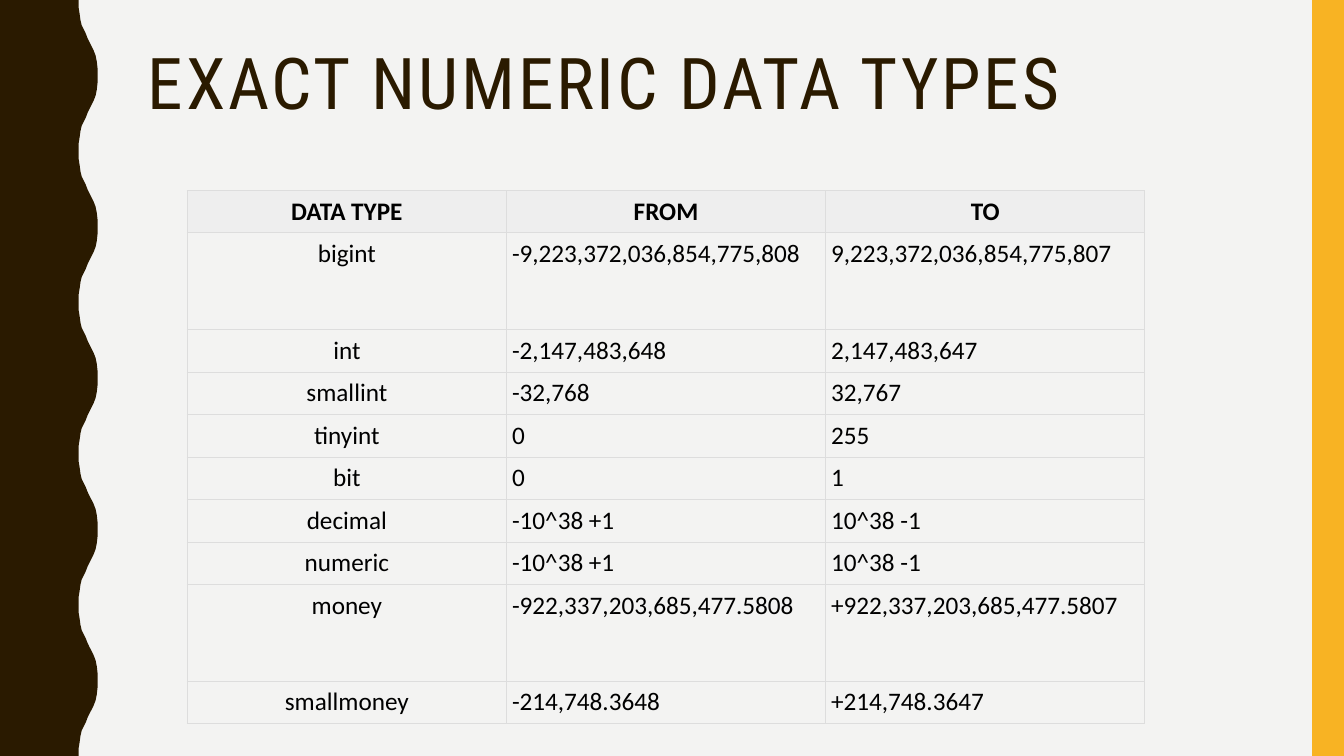
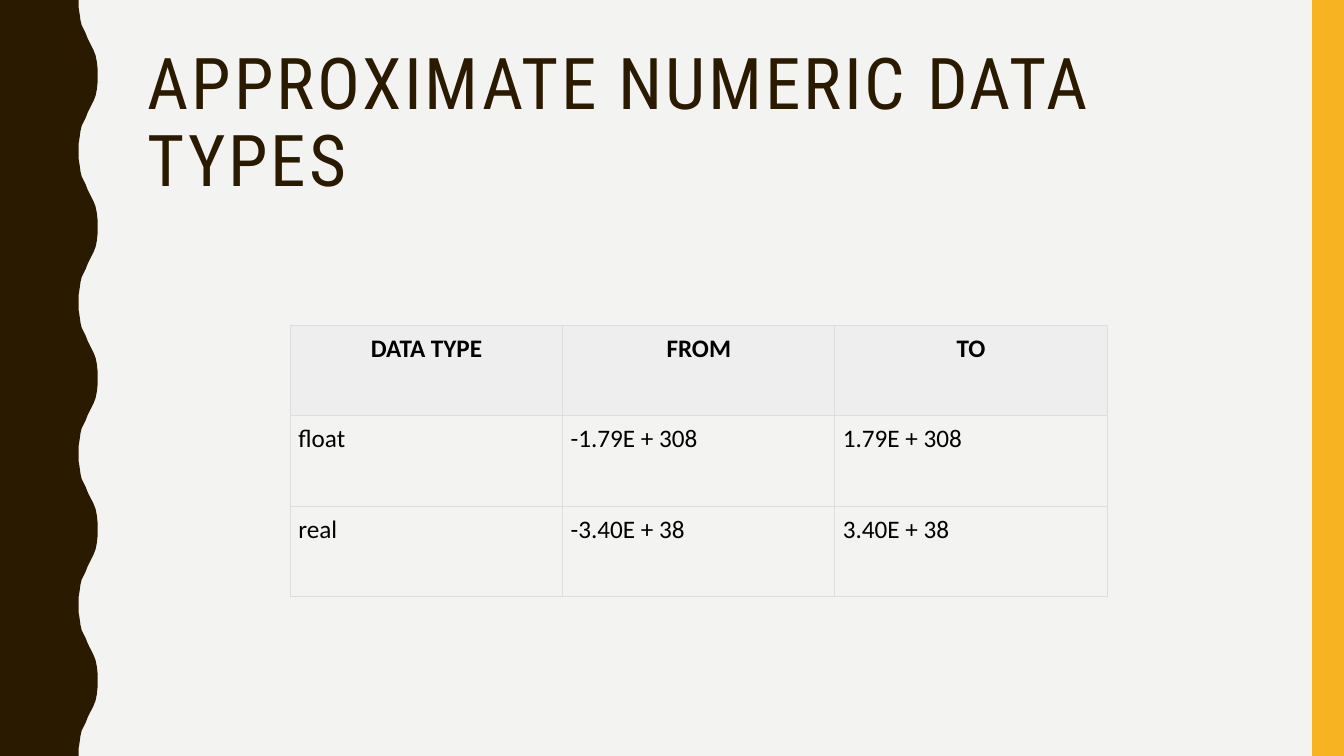
from lxml.etree import SubElement as Sub
from pptx import Presentation
from pptx.dml.color import RGBColor
from pptx.enum.shapes import MSO_SHAPE as Shape
from pptx.enum.text import MSO_ANCHOR as Anchor, PP_ALIGN as Align
from pptx.oxml.ns import qn
from pptx.util import Cm, Pt

WIDE, HIGH = 33.87, 19.05
BROWN, GOLD, PAPER = "2A1A00", "F8B323", "F3F3F2"
HEAD, RULE, INK = "EEEEEE", "DDDDDD", "000000"
WAVE = 3.81
CURVE = [(1.98, 0), (1.98, 0.18), (2.01, 0.36), (2.03, 0.51), (2.06, 0.64),
         (2.11, 0.74), (2.16, 0.84), (2.21, 0.97), (2.26, 1.07), (2.31, 1.17),
         (2.36, 1.27), (2.41, 1.4), (2.44, 1.55), (2.46, 1.73), (2.46, 1.9)]
TITLES = ["DATA TYPE", "FROM", "TO"]
EXACT = [
    ["bigint", "-9,223,372,036,854,775,808", "9,223,372,036,854,775,807"],
    ["int", "-2,147,483,648", "2,147,483,647"],
    ["smallint", "-32,768", "32,767"],
    ["tinyint", "0", "255"],
    ["bit", "0", "1"],
    ["decimal", "-10^38 +1", "10^38 -1"],
    ["numeric", "-10^38 +1", "10^38 -1"],
    ["money", "-922,337,203,685,477.5808", "+922,337,203,685,477.5807"],
    ["smallmoney", "-214,748.3648", "+214,748.3647"],
]
APPROX = [
    ["float", "-1.79E + 308", "1.79E + 308"],
    ["real", "-3.40E + 38", "3.40E + 38"],
]


def paint(fill, color):
    fill.solid()
    fill.fore_color.rgb = RGBColor.from_string(color)


def style(para, size, face, color, bold=False):
    for run in para.runs:
        font = run.font
        font.size, font.name, font.bold = Pt(size), face, bold
        paint(font.fill, color)


def finish(shape, color):
    shape.shadow.inherit = False
    paint(shape.fill, color)
    shape.line.fill.background()


def add_wave(slide):
    turn = [(x, WAVE - y) for x, y in reversed(CURVE[1:-1])]
    edge = [(x, y + WAVE * n) for n in range(5) for x, y in CURVE + turn]
    edge += [(CURVE[0][0], HIGH), (0, HIGH)]
    pen = slide.shapes.build_freeform(0, 0)
    pen.add_line_segments([(Cm(x), Cm(y)) for x, y in edge], close=True)
    finish(pen.convert_to_shape(), BROWN)


def add_band(slide):
    band = slide.shapes.add_shape(Shape.RECTANGLE, Cm(33.07), 0,
                                  Cm(WIDE - 33.07), Cm(HIGH))
    finish(band, GOLD)


def add_title(slide, text):
    box = slide.shapes.add_textbox(Cm(3.48), Cm(1.07), Cm(28.27), Cm(4.14))
    frame = box.text_frame
    frame.word_wrap = True
    frame.vertical_anchor = Anchor.TOP
    frame.text = text
    para = frame.paragraphs[0]
    para.line_spacing = 0.9
    style(para, 51, "Roboto Condensed", BROWN)
    for run in para.runs:
        run.font._element.set("spc", "200")


def add_rules(cell):
    props = cell._tc.get_or_add_tcPr()
    for side in ("a:lnL", "a:lnR", "a:lnT", "a:lnB"):
        line = Sub(props, qn(side), w=str(Pt(0.75)))
        Sub(Sub(line, qn("a:solidFill")), qn("a:srgbClr"), val=RULE)


def fill_cell(cell, text, inset, head, center):
    cell.margin_left = cell.margin_right = Cm(inset)
    cell.margin_top = cell.margin_bottom = Cm(inset)
    add_rules(cell)
    if head:
        paint(cell.fill, HEAD)
    else:
        cell.fill.background()
    cell.text_frame.text = text
    para = cell.text_frame.paragraphs[0]
    para.alignment = Align.CENTER if center else Align.LEFT
    style(para, 18, "Calibri", INK, head)


def add_grid(slide, left, top, width, highs, body, inset, center):
    rows = [TITLES] + body
    grid = slide.shapes.add_table(len(rows), len(TITLES), Cm(left), Cm(top),
                                  Cm(width), Cm(sum(highs))).table
    grid.first_row = grid.horz_banding = False
    for col in grid.columns:
        col.width = Cm(width / len(TITLES))
    for r, row in enumerate(rows):
        grid.rows[r].height = Cm(highs[r])
        for c, text in enumerate(row):
            fill_cell(grid.cell(r, c), text, inset, r == 0,
                      r == 0 or (center and c == 0))


def add_page(deck, title):
    slide = deck.slides.add_slide(deck.slide_layouts[6])
    paint(slide.background.fill, PAPER)
    add_wave(slide)
    add_band(slide)
    add_title(slide, title)
    return slide


def main():
    deck = Presentation()
    deck.slide_width, deck.slide_height = Cm(WIDE), Cm(HIGH)

    page = add_page(deck, "EXACT NUMERIC DATA TYPES")
    highs = [2.44 if row[0] in ("bigint", "money") else 1.07 for row in EXACT]
    add_grid(page, 4.72, 4.8, 24.13, [1.07] + highs, EXACT, 0.14, True)

    page = add_page(deck, "APPROXIMATE NUMERIC DATA TYPES")
    add_grid(page, 7.32, 8.2, 20.58, [2.28] * 3, APPROX, 0.2, False)

    deck.save("out.pptx")


main()
